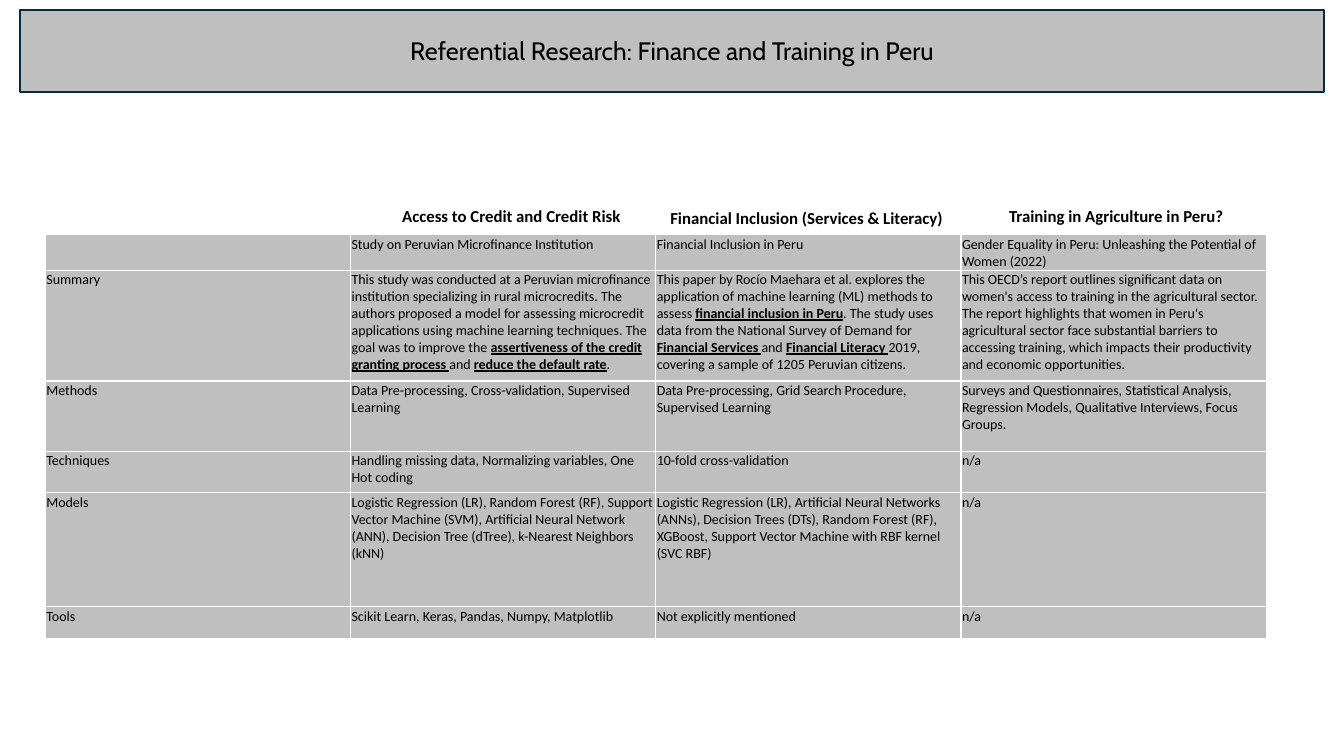
from lxml.etree import SubElement
from pptx import Presentation
from pptx.dml.color import RGBColor as RGB
from pptx.enum.shapes import MSO_SHAPE as SHAPE
from pptx.enum.text import MSO_ANCHOR as ANCHOR, MSO_AUTO_SIZE as AUTO, PP_ALIGN as ALIGN
from pptx.oxml.ns import qn
from pptx.util import Inches, Pt

# Content: ** surrounds bold underlined wording, each cell is a list of paragraphs
TITLE = "Referential Research: Finance and Training in Peru"
HEADINGS = [  # text, left, top, width
    ("Access to Credit and Credit Risk", 3.89, 1.99, 2.43),
    ("Financial Inclusion (Services & Literacy)", 6.55, 2.01, 2.94),
    ("Training in Agriculture in Peru?", 9.91, 1.99, 2.36),
]
ROWS = [  # height, cells
    (0.35, [
        [],
        ["Study on Peruvian Microfinance Institution"],
        ["Financial Inclusion in Peru"],
        ["Gender Equality in Peru: Unleashing the Potential of Women (2022)"],
    ]),
    (1.1, [
        ["Summary"],
        ["This study was conducted at a Peruvian microfinance institution specializing in "
         "rural microcredits. The authors proposed a model for assessing microcredit "
         "applications using machine learning techniques. The goal was to improve the "
         "**assertiveness of the credit granting process **and **reduce the default rate**."],
        ["This paper by Rocío Maehara et al. explores the application of machine learning "
         "(ML) methods to assess **financial inclusion in Peru**. The study uses data from "
         "the National Survey of Demand for **Financial Services **and "
         "**Financial Literacy **2019, covering a sample of 1205 Peruvian citizens."],
        ["This OECD’s report outlines significant data on women's access to training in the "
         "agricultural sector. The report highlights that women in Peru's agricultural "
         "sector face substantial barriers to accessing training, which impacts their "
         "productivity and economic opportunities."],
    ]),
    (0.7, [
        ["Methods"],
        ["Data Pre-processing, Cross-validation, Supervised Learning"],
        ["Data Pre-processing, Grid Search Procedure, Supervised Learning"],
        ["Surveys and Questionnaires, Statistical Analysis,",
         "Regression Models, Qualitative Interviews, Focus Groups."],
    ]),
    (0.41, [
        ["Techniques"],
        ["Handling missing data, Normalizing variables, One Hot coding"],
        ["10-fold cross-validation"],
        ["n/a"],
    ]),
    (1.13, [
        ["Models"],
        ["Logistic Regression (LR), Random Forest (RF), Support Vector Machine (SVM), "
         "Artificial Neural Network (ANN), Decision Tree (dTree), k-Nearest Neighbors (kNN)"],
        ["Logistic Regression (LR), Artificial Neural Networks (ANNs), Decision Trees (DTs), "
         "Random Forest (RF), XGBoost, Support Vector Machine with RBF kernel (SVC RBF)"],
        ["n/a"],
    ]),
    (0.32, [
        ["Tools"],
        ["Scikit Learn, Keras, Pandas, Numpy, Matplotlib"],
        ["Not explicitly mentioned"],
        ["n/a"],
    ]),
]

THEME = {
    "gray": RGB.from_string("BFBFBF"), "navy": RGB.from_string("092A39"),
    "ink": RGB.from_string("000000"), "rule": "FFFFFF",
    "title_font": "Cabin", "body_font": "Calibri",
    "title": Pt(18), "heading": Pt(12), "body": Pt(10),
}
TABLE_LEFT, TABLE_TOP, TABLE_WIDTH = 0.45, 2.33, 12.11


def add_run(p, text, size, font, bold=False, underline=False):
    r = p.add_run()
    r.text = text
    r.font.size, r.font.name = size, font
    r.font.bold, r.font.underline = bold, underline
    r.font.color.rgb = THEME["ink"]


def add_borders(cell):
    tc_pr = cell._tc.get_or_add_tcPr()
    for i, side in enumerate(("lnL", "lnR", "lnT", "lnB")):
        ln = tc_pr.makeelement(qn(f"a:{side}"), {"w": str(Pt(1))})
        fill = SubElement(ln, qn("a:solidFill"))
        SubElement(fill, qn("a:srgbClr"), val=THEME["rule"])
        tc_pr.insert(i, ln)  # borders come before the fill


def fill_cell(cell, paragraphs):
    cell.fill.solid()
    cell.fill.fore_color.rgb = THEME["gray"]
    add_borders(cell)
    cell.margin_left = cell.margin_right = cell.margin_top = Inches(0.01)
    cell.margin_bottom = 0
    tf = cell.text_frame
    for i, text in enumerate(paragraphs):
        p = tf.add_paragraph() if i else tf.paragraphs[0]
        for j, part in enumerate(text.split("**")):
            marked = j % 2 == 1
            add_run(p, part, THEME["body"], THEME["body_font"], marked, marked)


def main():
    prs = Presentation()
    prs.slide_width, prs.slide_height = Inches(13.33), Inches(7.5)
    s = prs.slides.add_slide(prs.slide_layouts[6])

    # Comparison table
    height = sum(h for h, _ in ROWS)
    columns = len(ROWS[0][1])
    table = s.shapes.add_table(len(ROWS), columns, Inches(TABLE_LEFT), Inches(TABLE_TOP),
                               Inches(TABLE_WIDTH), Inches(height)).table
    table.first_row = table.horz_banding = False
    for column in table.columns:
        column.width = Inches(TABLE_WIDTH / columns)
    for row, (row_height, cells) in zip(table.rows, ROWS):
        row.height = Inches(row_height)
        for cell, paragraphs in zip(row.cells, cells):
            fill_cell(cell, paragraphs)

    # Column headings
    for text, left, top, width in HEADINGS:
        sp = s.shapes.add_textbox(Inches(left), Inches(top), Inches(width), Inches(0.3))
        tf = sp.text_frame
        tf.word_wrap, tf.auto_size = False, AUTO.SHAPE_TO_FIT_TEXT
        add_run(tf.paragraphs[0], text, THEME["heading"], THEME["body_font"], bold=True)

    # Title bar
    sp = s.shapes.add_shape(SHAPE.RECTANGLE, Inches(0.2), Inches(0.1),
                            Inches(12.93), Inches(0.81))
    sp.shadow.inherit = False
    sp.fill.solid()
    sp.fill.fore_color.rgb = THEME["gray"]
    sp.line.color.rgb, sp.line.width = THEME["navy"], Pt(1.5)
    tf = sp.text_frame
    tf.word_wrap, tf.vertical_anchor = True, ANCHOR.MIDDLE
    p = tf.paragraphs[0]
    p.alignment = ALIGN.CENTER
    add_run(p, TITLE, THEME["title"], THEME["title_font"])

    prs.save("out.pptx")


if __name__ == "__main__":
    main()
